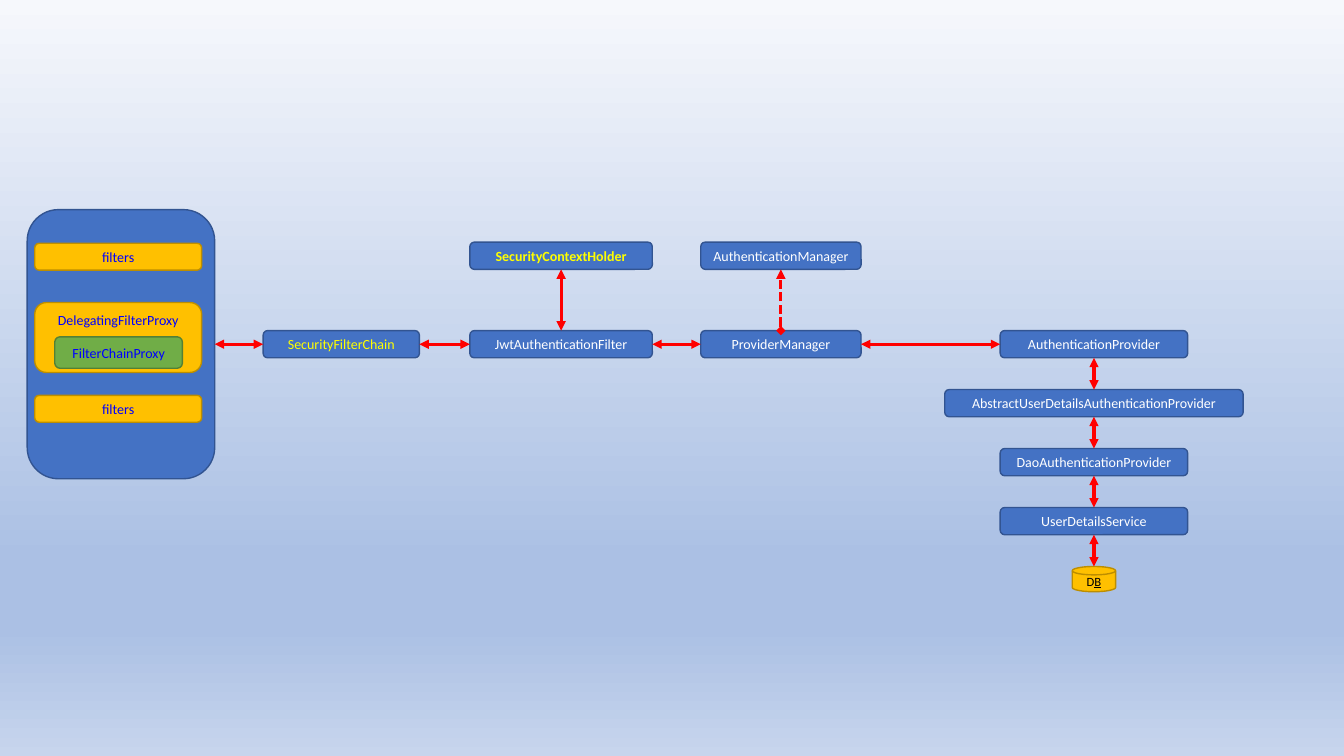
from dataclasses import dataclass
from typing import NamedTuple

from lxml import etree
from pptx import Presentation, util as u
from pptx.dml.color import RGBColor
from pptx.enum import dml, shapes, text
from pptx.oxml.ns import qn


@dataclass(frozen=True)
class Theme:
    font: str = "Calibri"
    label_size: float = 10
    database_size: float = 9
    outline: float = 1
    arrow_width: float = 2.25
    blue: tuple = ("4472C4", "325491")
    gold: tuple = ("FFC000", "BD8E00")
    green: tuple = ("70AD47", "538035")
    white: str = "FFFFFF"
    yellow: str = "FFFF00"
    ink: str = "0000FF"
    black: str = "000000"
    arrow: str = "FF0000"
    backdrop: tuple = ((0, "F6F8FC"), (74, "ABC0E4"), (83, "ABC0E4"), (100, "C7D5ED"))


class Box(NamedTuple):
    left: float
    top: float
    width: float
    height: float

    def inside(self, left, top, width, height):
        """Return the box at these shares of this one."""
        return Box(self.left + left * self.width, self.top + top * self.height,
                   width * self.width, height * self.height)


THEME = Theme()
MAIN_ROW, ROW_PITCH, NODE_HEIGHT = 3.28, 0.585, 0.27
UPPER_ROW = -1.5
TOP, LEFT, BOTTOM, RIGHT = range(4)
ROUNDED = shapes.MSO_SHAPE.ROUNDED_RECTANGLE


def row_box(left, row, width, height=NODE_HEIGHT):
    return Box(left, MAIN_ROW + row * ROW_PITCH, width, height)


def paint_backdrop(slide):
    fill = slide.background.fill
    fill.gradient()
    fill.gradient_angle = 270
    stops = slide.element.xpath(".//p:bg//a:gsLst")[0]
    for stop in list(stops):
        stops.remove(stop)
    for percent, color in THEME.backdrop:
        stop = etree.SubElement(stops, qn("a:gs"), pos=str(percent * 1000))
        etree.SubElement(stop, qn("a:srgbClr"), val=color)


def add_node(slide, box, runs=(), colors=THEME.blue, ink=THEME.white,
             size=THEME.label_size, bold=False, kind=ROUNDED):
    node = slide.shapes.add_shape(kind, *map(u.Inches, box))
    node.shadow.inherit = False
    fill, outline = colors
    node.fill.solid()
    node.fill.fore_color.rgb = RGBColor.from_string(fill)
    node.line.color.rgb = RGBColor.from_string(outline)
    node.line.width = u.Pt(THEME.outline)
    frame = node.text_frame
    frame.margin_left = frame.margin_right = 0
    frame.vertical_anchor = text.MSO_ANCHOR.MIDDLE
    label = frame.paragraphs[0]
    label.alignment = text.PP_ALIGN.CENTER
    for words in runs:
        run = label.add_run()
        run.text = words
        run.font.name = THEME.font
        run.font.size = u.Pt(size)
        run.font.bold = bold
        run.font.color.rgb = RGBColor.from_string(ink)
    return node


def link(slide, start, start_side, end, end_side, head="triangle", dash=None):
    arrow = slide.shapes.add_connector(shapes.MSO_CONNECTOR.STRAIGHT, 0, 0, 0, 0)
    arrow.begin_connect(start, start_side)
    arrow.end_connect(end, end_side)
    style_arrow(arrow, head, dash)


def style_arrow(arrow, head="triangle", dash=None):
    arrow.line.color.rgb = RGBColor.from_string(THEME.arrow)
    arrow.line.width = u.Pt(THEME.arrow_width)
    if dash:
        arrow.line.dash_style = dash
    properties = arrow.line._get_or_add_ln()
    etree.SubElement(properties, qn("a:headEnd"), type=head)
    etree.SubElement(properties, qn("a:tailEnd"), type="triangle")
    etree.SubElement(arrow.element.spPr, qn("a:effectLst"))


def draw_filter_container(slide, box):
    container = add_node(slide, box)
    for share in (0.125, 0.69):
        add_node(slide, box.inside(0.04, share, 0.89, 0.1), ["filters"],
                 THEME.gold, THEME.ink)
    proxy_box = box.inside(0.04, 0.345, 0.89, 0.26)
    proxy = add_node(slide, proxy_box, ["DelegatingFilterProxy"], THEME.gold, THEME.ink)
    proxy.text_frame.vertical_anchor = text.MSO_ANCHOR.TOP
    proxy.text_frame.margin_top = u.Inches(0.06)
    add_node(slide, proxy_box.inside(0.12, 0.49, 0.765, 0.45), ["FilterChainProxy"],
             THEME.green, THEME.ink)
    return container


def draw_request_chain(slide, container):
    """Draw the main row with its two upper boxes; return the last box of the row."""
    chain = add_node(slide, row_box(2.61, 0, 1.55), ["SecurityFilterChain"],
                     ink=THEME.yellow)
    jwt_filter = add_node(slide, row_box(4.66, 0, 1.81), ["JwtAuthenticationFilter"])
    manager = add_node(slide, row_box(6.95, 0, 1.59), ["ProviderManager"])
    provider = add_node(slide, row_box(9.92, 0, 1.86), ["AuthenticationProvider"])
    context = add_node(slide, row_box(4.66, UPPER_ROW, 1.81), ["SecurityContextHolder"],
                       ink=THEME.yellow, bold=True)
    interface = add_node(slide, row_box(6.95, UPPER_ROW, 1.59), ["AuthenticationManager"])

    steps = (container, chain, jwt_filter, manager, provider)
    for before, after in zip(steps, steps[1:]):
        link(slide, after, LEFT, before, RIGHT)
    link(slide, jwt_filter, TOP, context, BOTTOM)
    link(slide, manager, TOP, interface, BOTTOM, "diamond", dml.MSO_LINE.SQUARE_DOT)
    return provider


def draw_provider_stack(slide, provider):
    center = u.Emu(provider.left + provider.width // 2).inches
    upper = provider
    layers = (("AbstractUserDetailsAuthenticationProvider", 2.96),
              ("DaoAuthenticationProvider", 1.86),
              ("UserDetailsService", 1.86))
    for row, (name, width) in enumerate(layers, start=1):
        layer = add_node(slide, row_box(center - width / 2, row, width), [name])
        link(slide, layer, TOP, upper, BOTTOM)
        upper = layer

    width = 0.43
    database = add_node(slide, row_box(center - width / 2, len(layers) + 1, width, 0.25),
                        ["D", "B"], THEME.gold, THEME.black, THEME.database_size,
                        kind=shapes.MSO_SHAPE.FLOWCHART_MAGNETIC_DISK)
    database.text_frame.paragraphs[0].runs[1].font.underline = True
    middle = u.Inches(center)
    arrow = slide.shapes.add_connector(shapes.MSO_CONNECTOR.STRAIGHT, middle,
                                       database.top, middle, upper.top + upper.height)
    style_arrow(arrow)


def main():
    deck = Presentation()
    deck.slide_width, deck.slide_height = u.Inches(13.33), u.Inches(7.5)
    slide = deck.slides.add_slide(deck.slide_layouts[6])
    paint_backdrop(slide)
    container = draw_filter_container(slide, Box(0.27, 2.08, 1.86, 2.67))
    provider = draw_request_chain(slide, container)
    draw_provider_stack(slide, provider)
    deck.save("out.pptx")


if __name__ == "__main__":
    main()
